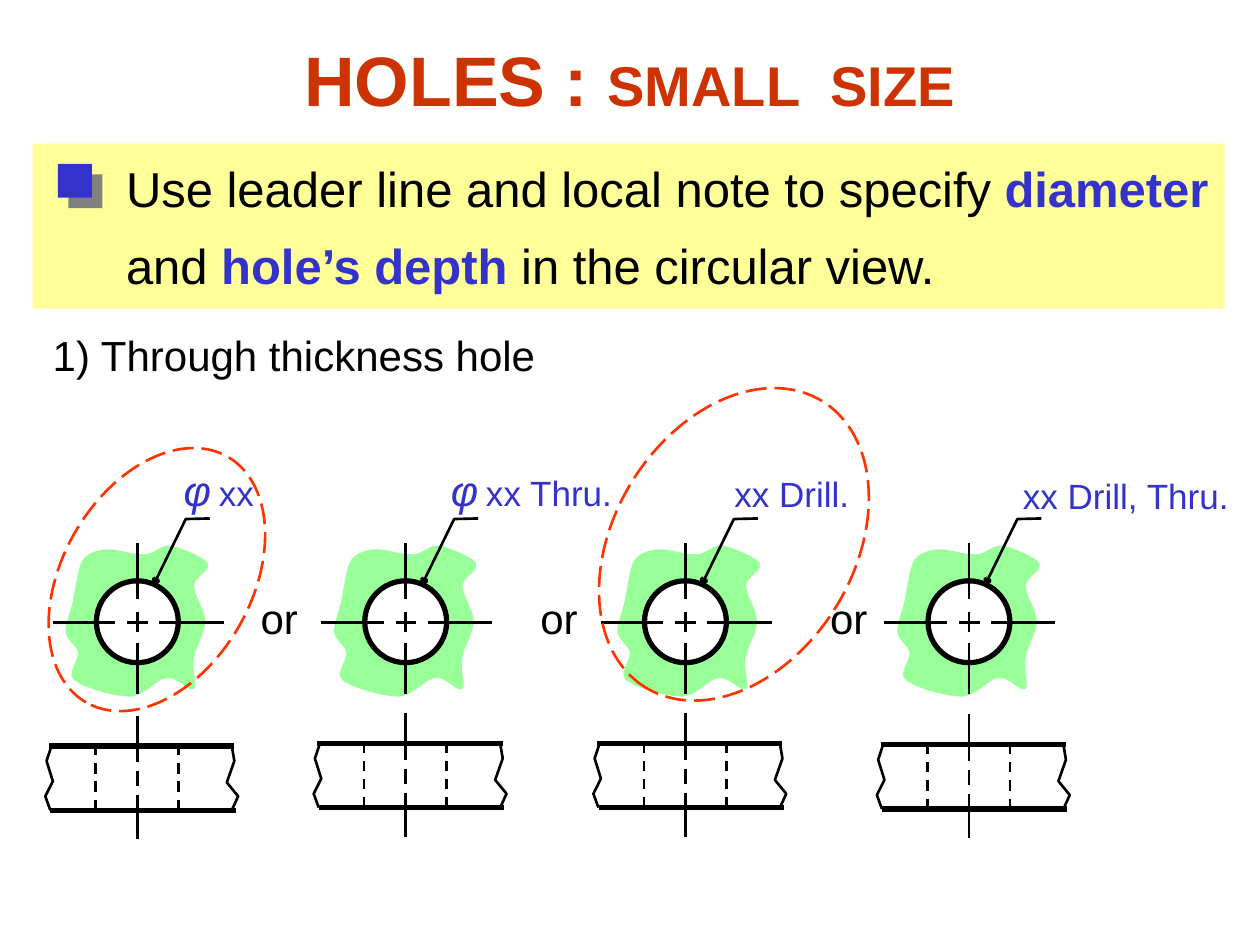
from pptx import Presentation
from pptx.dml.color import RGBColor
from pptx.enum.dml import MSO_LINE
from pptx.enum.shapes import MSO_CONNECTOR, MSO_SHAPE
from pptx.enum.text import MSO_ANCHOR, MSO_AUTO_SIZE, PP_ALIGN
from pptx.oxml.ns import qn
from pptx.util import Inches, Pt
from lxml.etree import SubElement

BLACK, BLUE, RED, RUST = "000000", "3333CC", "FF3300", "CC3300"
deck = Presentation()
deck.slide_width, deck.slide_height = Inches(10), Inches(7.5)
cell = deck.slide_width / 100


def ink(fill, code):
    if code:
        fill.solid()
        fill.fore_color.rgb = RGBColor.from_string(code)
    else:
        fill.background()


def write(box, area, runs, **form):
    for name, size in zip(("left", "top", "width", "height"), area):
        setattr(box, name, round(size * cell))
    frame = box.text_frame
    frame.word_wrap = False
    frame.auto_size = MSO_AUTO_SIZE.NONE
    para = frame.paragraphs[0]
    for name, value in form.items():
        setattr(para, name, value)
    for words, size, code, look in runs:
        if "n" in look:
            para.add_line_break()
        run = para.add_run()
        run.text = words
        style = {"name": "Arial", "size": Pt(size), "bold": "b" in look, "italic": "i" in look}
        for name, value in style.items():
            setattr(run.font, name, value)
        ink(run.font.fill, code)


slide = deck.slides.add_slide(deck.slide_layouts[1])
shapes = slide.shapes
title, body = slide.placeholders
parts, heads = [], []

blob = [(-4.3, -5), (-3.9, -5.5), (-3.3, -5.7), (-2.5, -5.8), (-1.7, -5.9), (-0.3, -5.3),
        (0.6, -5.4), (1.4, -5.4), (1.8, -6.2), (2.7, -6.1), (3.5, -5.9), (5.3, -5.2),
        (5.6, -4.7), (5.9, -4.1), (4.5, -3.6), (4.5, -2.9), (4.5, -2.1), (5.4, -1),
        (5.4, -0.1), (5.4, 0.9), (4.6, 1.9), (4.5, 2.8), (4.3, 3.7), (4.8, 5.1),
        (4.5, 5.3), (4.1, 5.6), (3.2, 4.3), (2.4, 4.4), (1.6, 4.4), (0.7, 5.8),
        (-0.5, 5.9), (-1.8, 5.9), (-4.3, 5.2), (-5, 4.6), (-5.7, 4.1), (-4.6, 3),
        (-4.7, 2.4), (-4.8, 1.8), (-5.6, 1.5), (-5.7, 0.7), (-5.7, 0), (-5.1, -1.3),
        (-5, -2.3), (-4.8, -3.3), (-4.7, -4.4), (-4.3, -5)]
edge = blob[:1]
for i in range(0, len(blob) - 1, 3):
    for t in (0.2, 0.4, 0.6, 0.8, 1):
        mix = ((1 - t) ** 3, 3 * t * (1 - t) ** 2, 3 * t * t * (1 - t), t ** 3)
        edge.append(tuple(sum(m * p[k] for m, p in zip(mix, blob[i:i + 4])) for k in (0, 1)))

tip = [(1.15, -2.7), (3.85, -8.2), (5.75, -8.25)]
right = [(7.5, 0), (7.7, 1.2), (7.1, 2.9), (8, 4), (7.5, 5.1)]
left = [(-6.8, 0), (-7.2, 1.2), (-6.7, 2.8), (-7.3, 4), (-6.9, 5.1)]
cross = [(1.75, 0, 6.85, 0), (0, -1.9, 0, -6.3), (0, 1.6, 0, 5.7),
         (-1.75, 0, -6.7, 0), (-0.8, 0, 0.85, 0), (0, -0.85, 0, 0.8)]
rims = [(-7, 0, 7.7, 0), (-6.9, 5.1, 7.8, 5.1)]
sides = [(-3.3, -0.1, -3.3, 5), (3.25, -0.1, 3.25, 5)]
axis = [(0, 1.3, 0, -2.4), (0, 3.9, 0, 7.4), (0, 2, 0, 3.2)]
mid, base = 49.4, 59
dash = MSO_LINE.DASH

for col, drop, slip in (10.9, 0.2, 0), (32.2, 0, 0), (54.4, 0, 0.3), (76.9, 0.1, 0):
    hole = shapes.add_group_shape().shapes
    low = base + drop
    for dots, start, row, fill, line in (
            (edge, col + slip, mid, "99FF99", None), (right, col, low, None, BLACK),
            (left, col, low, None, BLACK), (tip, col, mid, None, BLACK)):
        spots = [((start + x) * cell, (row + y) * cell) for x, y in dots]
        pen = hole.build_freeform(*spots[0])
        pen.add_line_segments(spots[1:], close=dots is edge)
        form = pen.convert_to_shape()
        parts.append((form, fill, line, 1.5, None))
    heads.append(form)
    ring = hole.add_shape(MSO_SHAPE.OVAL, *(round(v * cell) for v in (col - 3.25, mid - 3.3, 6.5, 6.5)))
    parts.append((ring, "FFFFFF", BLACK, 3, None))
    for lines, row, width, kind in ((cross, mid, 1.5, None), (rims, low, 3, None),
                                    (sides, low, 1.5, dash), (axis, low, 1.5, None)):
        for x, y, u, v in lines:
            ends = [round(n * cell) for n in (col + x, row + y, col + u, row + v)]
            parts.append((hole.add_connector(MSO_CONNECTOR.STRAIGHT, *ends), None, BLACK, width, kind))

for kind, area, turn, fill, line in (
        (MSO_SHAPE.OVAL, (1.2, 38.5, 22.5, 15), 300, None, RED),
        (MSO_SHAPE.OVAL, (44.9, 33.7, 26.7, 19), 301.8, None, RED),
        (MSO_SHAPE.RECTANGLE, (2.6, 11.4, 94.6, 13.1), 0, "FFFF99", None),
        (MSO_SHAPE.RECTANGLE, (4.6, 13, 2.7, 2.7), 0, BLUE, None)):
    mark = shapes.add_shape(kind, *(round(v * cell) for v in area))
    mark.rotation = turn
    parts.append((mark, fill, line, 1.5, MSO_LINE.LONG_DASH if line else None))

for part, fill, line, width, kind in parts:
    if hasattr(part, "fill"):
        ink(part.fill, fill)
    ink(part.line.fill, line)
    if line:
        part.line.width = Pt(width)
    if kind:
        part.line.dash_style = kind
    glow = SubElement(part.element.spPr, qn("a:effectLst"))
shade = SubElement(glow, qn("a:outerShdw"), dist=str(Pt(8.5)), dir="2700000", algn="ctr", rotWithShape="0")
SubElement(shade, qn("a:srgbClr"), val="808080")
for head in heads:
    SubElement(head.element.spPr.find(qn("a:ln")), qn("a:headEnd"), type="arrow", w="sm", len="med")

tree = title.element.getparent()
for holder in body, title:
    tree.append(holder.element)
props = body.text_frame.paragraphs[0]._p.get_or_add_pPr()
props.set("marL", "0")
props.set("indent", "0")
SubElement(props, qn("a:buNone"))
write(body, (9, 10.7, 89, 13.2), [
    ("Use leader line and local note to specify ", 28, BLACK, ""), ("diameter", 28, BLUE, "b"),
    ("and ", 28, BLACK, "n"), ("hole’s depth", 28, BLUE, "b"),
    (" in the circular view.", 28, BLACK, "")], line_spacing=1.3, space_before=Pt(0))
body.text_frame.vertical_anchor = MSO_ANCHOR.TOP
write(title, (7.5, 0, 85, 12.5), [("HOLES : ", 40, RUST, "b"), ("SMALL  SIZE", 32, RUST, "b")],
      alignment=PP_ALIGN.CENTER)
title.text_frame.vertical_anchor = MSO_ANCHOR.MIDDLE
title.text_frame.word_wrap = True

phi = [("φ", 24, BLUE, "i"), (" ", 16, BLUE, "i")]
notes = [((13.6, 36.4, 7.6, 5), phi + [("xx", 20, BLUE, "")]),
         ((34.8, 36.4, 14.9, 5), phi + [("xx Thru.", 20, BLUE, "")]),
         ((57.3, 37, 11.1, 4.4), [("xx Drill.", 20, BLUE, "")]),
         ((80.2, 37.2, 18.4, 4.4), [("xx Drill, Thru.", 20, BLUE, "")]),
         ((3.2, 25.7, 40.3, 5), [("1) Through thickness hole", 24, BLACK, "")])]
notes += [((x, 46.5, 4.9, 5), [("or", 24, BLACK, "")]) for x in (19.7, 41.9, 64.9)]
for area, runs in notes:
    write(shapes.add_textbox(0, 0, 0, 0), area, runs)

deck.save("out.pptx")
